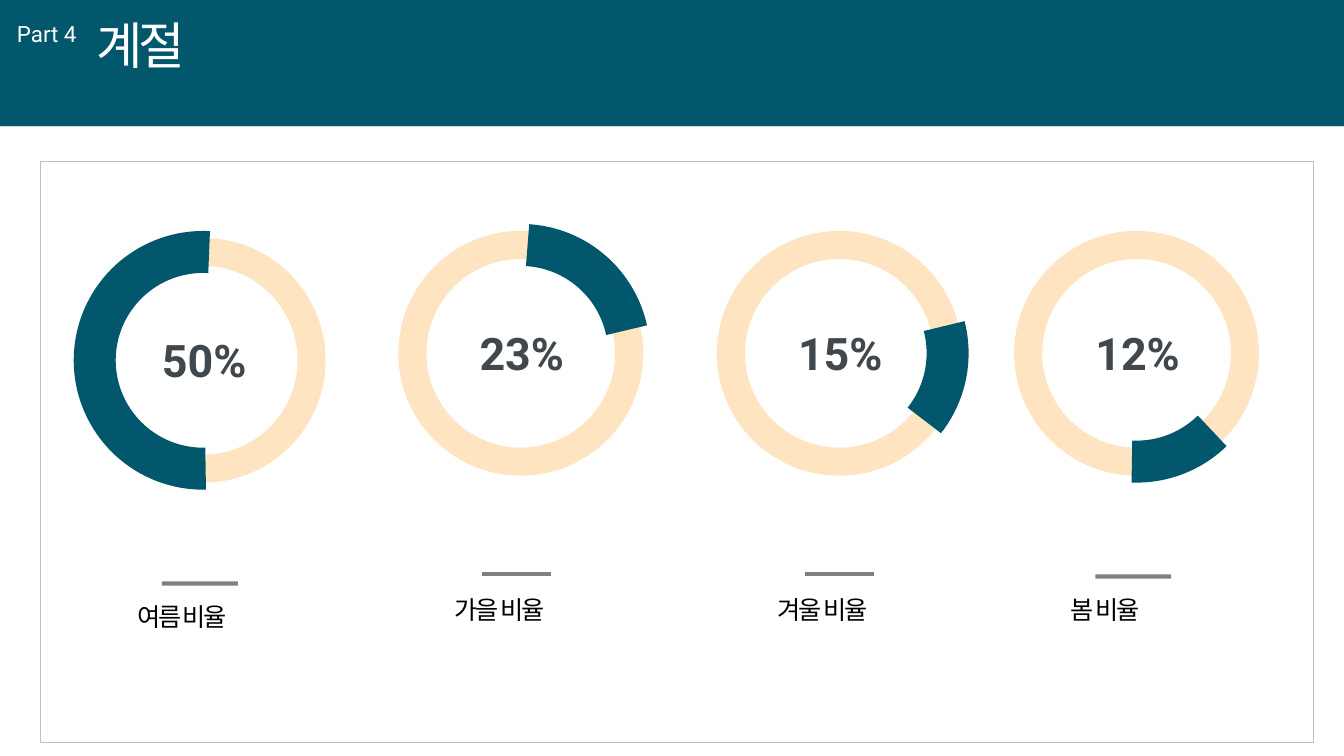
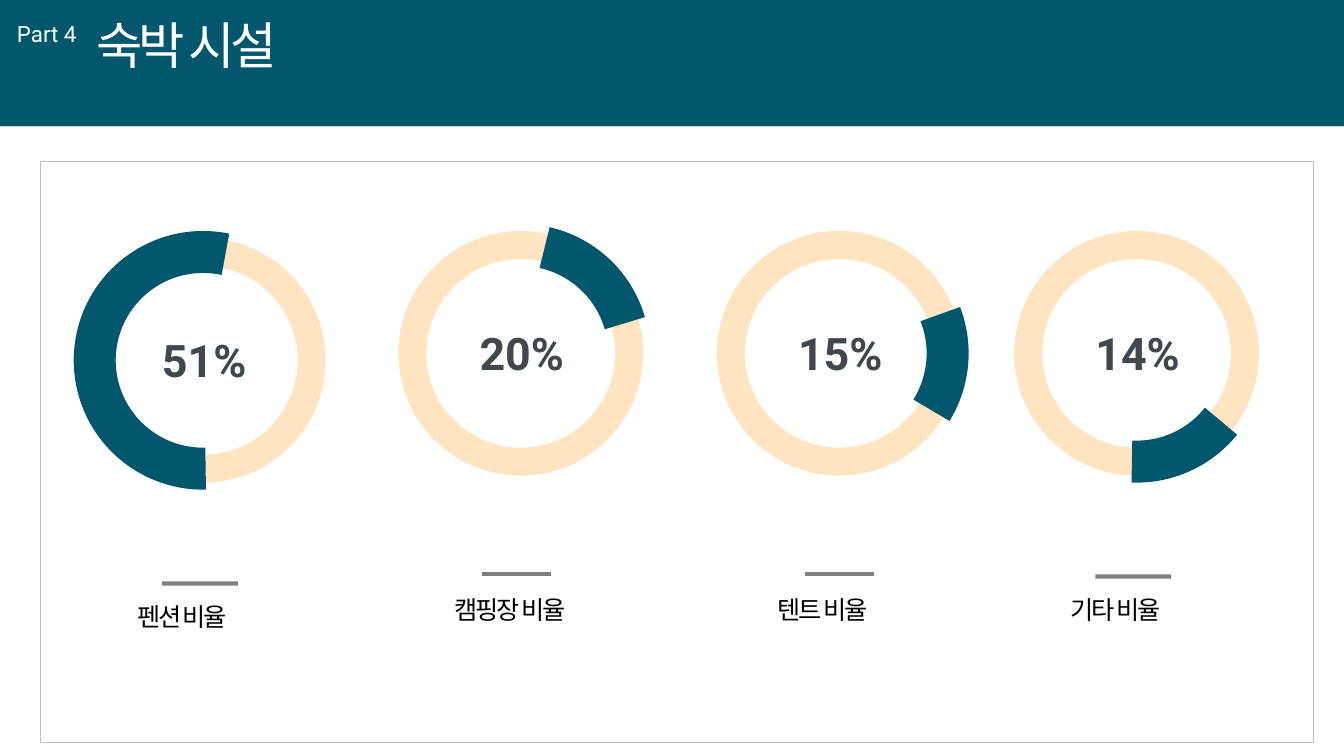
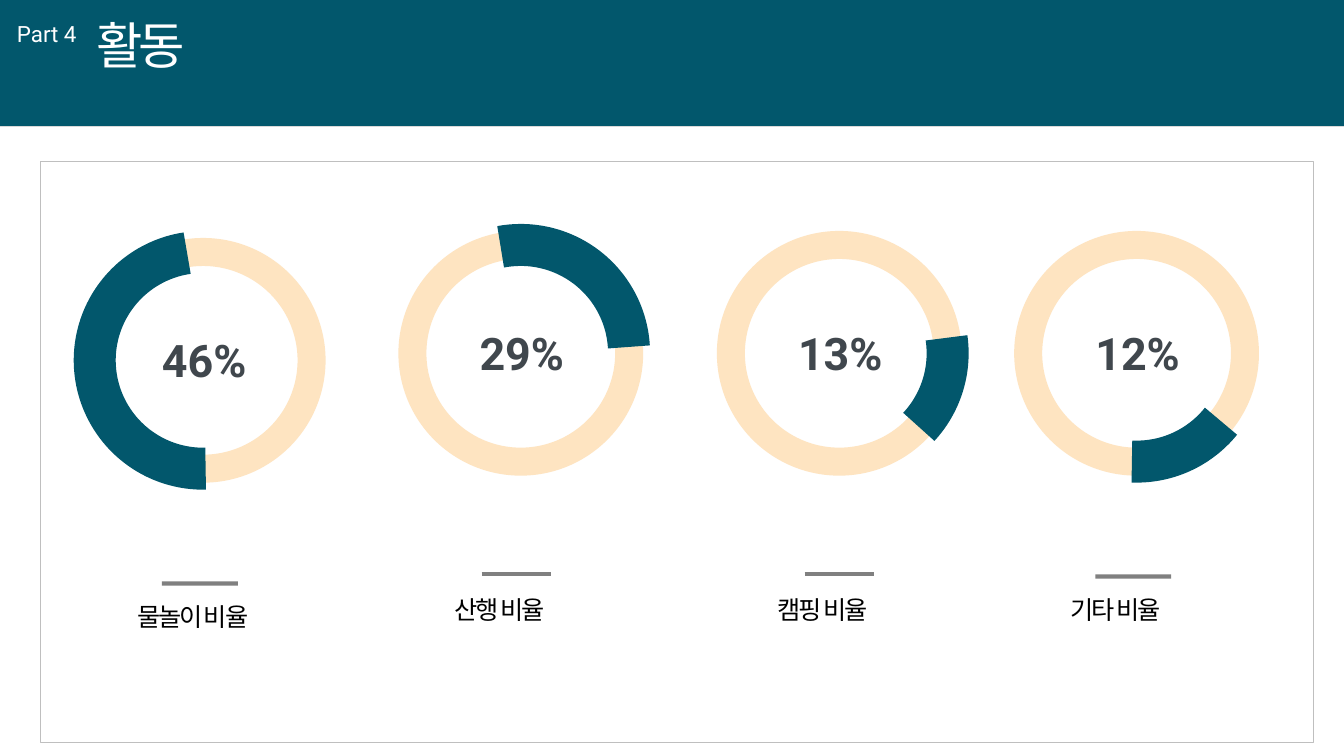
from lxml.etree import SubElement
from pptx import Presentation
from pptx.dml.color import RGBColor
from pptx.enum.shapes import MSO_CONNECTOR, MSO_SHAPE
from pptx.enum.text import MSO_AUTO_SIZE, PP_ALIGN
from pptx.oxml.ns import qn
from pptx.util import Inches, Pt

TEAL = RGBColor(0x02, 0x57, 0x6C)
PEACH = RGBColor(0xFE, 0xE4, 0xC1)
SLATE = RGBColor(0x40, 0x47, 0x4D)
GRAY = RGBColor(0x80, 0x80, 0x80)
SILVER = RGBColor(0xBF, 0xBF, 0xBF)
PALE = RGBColor(0xD9, 0xD9, 0xD9)
WHITE = RGBColor(0xFF, 0xFF, 0xFF)
BLACK = RGBColor(0, 0, 0)
HANGUL, LATIN = "Noto Sans CJK KR", "Roboto"

# The page is a grid of 100 columns by 100 rows
WIDE, HIGH = Inches(13.33), Inches(7.5)
COL, ROW = WIDE / 100, HIGH / 100
BAND = 16.67 * ROW
SIDE = 16.13 * COL  # side of a ring's box
LAP = 8  # degrees the pale arc runs under the dark one

# Ring column, ring row, label shift, bar shift (shares of SIDE), block bar
SPOTS = [
    (7.05, 33.33, 0.15, 0.31, True),
    (30.68, 32.4, 0.15, 0.32, False),
    (54.38, 32.4, 0.17, 0.34, False),
    (76.5, 32.4, 0.15, 0.31, True),
]

# Title, then share, label, start and end angle of each dark arc
PAGES = [
    ("계절", [
        ("50%", "여름 비율", 88.67, 273.17),
        ("23%", "가을 비율", 273.64, 347.69),
        ("15%", "겨울 비율", 345.48, 38.28),
        ("12%", "봄 비율", 45.73, 92.45),
    ]),
    ("숙박 시설", [
        ("51%", "펜션 비율", 88.67, 281.88),
        ("20%", "캠핑장 비율", 282.74, 343.87),
        ("15%", "텐트 비율", 338.81, 31.72),
        ("14%", "기타 비율", 38.83, 92.45),
    ]),
    ("활동", [
        ("46%", "물놀이 비율", 88.67, 261.53),
        ("29%", "산행 비율", 259.33, 356.63),
        ("13%", "캠핑 비율", 351.81, 42.76),
        ("12%", "기타 비율", 38.83, 92.45),
    ]),
]


def place(*box):
    return [round(v) for v in box]


def rect(slide, box, fill, edge=None):
    shape = slide.shapes.add_shape(MSO_SHAPE.RECTANGLE, *place(*box))
    shape.shadow.inherit = False
    shape.fill.solid()
    shape.fill.fore_color.rgb = fill
    if edge is None:
        shape.line.fill.background()
    else:
        shape.line.color.rgb = edge
        shape.line.width = Pt(1)


def rule(slide, left, top, width, color, weight):
    line = slide.shapes.add_connector(
        MSO_CONNECTOR.STRAIGHT, *place(left, top, left + width, top))
    line.line.color.rgb = color
    line.line.width = Pt(weight)
    SubElement(line._element.spPr, qn("a:effectLst"))


def arc(slide, box, start, end, color, weight, turn=0):
    shape = slide.shapes.add_shape(MSO_SHAPE.ARC, *place(*box))
    shape.shadow.inherit = False
    shape.fill.background()
    shape.line.color.rgb = color
    shape.line.width = Pt(weight)
    shape.rotation = turn
    # One unit of adjustment is 5/3 of a degree
    for i, angle in enumerate((start, end)):
        shape.adjustments[i] = (angle - turn) % 360 * 0.6


def text(slide, box, words, size, face, color, bold=False, space=0,
         align=PP_ALIGN.LEFT):
    frame = slide.shapes.add_textbox(*place(*box)).text_frame
    frame.word_wrap = False
    frame.auto_size = MSO_AUTO_SIZE.SHAPE_TO_FIT_TEXT
    para = frame.paragraphs[0]
    para.text = words
    para.alignment = align
    font = para.font
    font.size, font.name, font.bold = Pt(size), face, bold
    font.color.rgb = color
    # East Asian face and letter spacing
    props = para._p.pPr.find(qn("a:defRPr"))
    SubElement(props, qn("a:ea"), typeface=face)
    if space:
        props.set("spc", str(round(space * 100)))


def header(slide, title):
    rect(slide, (0, 0, WIDE, BAND), TEAL)
    rule(slide, 0, BAND, WIDE, PALE, 0.5)
    width = (3.18 + 2.65 * len(title)) * COL
    text(slide, (6.45 * COL, 1.2 * ROW, width, 9.47 * ROW), title,
         36, HANGUL, WHITE, space=-3)
    text(slide, (0.53 * COL, 2 * ROW, 5.93 * COL, 4.93 * ROW), "Part 4",
         16, LATIN, WHITE)


def gauge(slide, left, top, side, item, shift, inset, block):
    share, label, start, end = item
    box = (left, top, side, side)
    # Ring
    arc(slide, box, end - LAP, start + LAP, PEACH, 20, turn=90)
    arc(slide, box, start, end, TEAL, 30)
    text(slide, (left + 0.25 * side, top + 0.35 * side, 0.51 * side,
                 0.3 * side), share, 32, LATIN, SLATE, bold=True,
         align=PP_ALIGN.CENTER)
    # Bar and label
    start_x = left + inset * side
    if block:
        rect(slide, (start_x, top + 1.52 * side, 0.35 * side, 0.02 * side),
             GRAY)
    else:
        rule(slide, start_x, top + 1.52 * side, 0.32 * side, GRAY, 3)
    text(slide, (left + shift * side, top + 1.59 * side,
                 0.11 * len(label) * side, 0.19 * side),
         label, 18, HANGUL, BLACK, space=-1.5)


def page(deck, title, items):
    slide = deck.slides.add_slide(deck.slide_layouts[6])
    header(slide, title)
    rect(slide, (3 * COL, 21.33 * ROW, 94.75 * COL, 76.93 * ROW),
         WHITE, SILVER)
    for item, (col, row, shift, inset, block) in zip(items, SPOTS):
        gauge(slide, col * COL, row * ROW, SIDE, item, shift, inset, block)


def main():
    deck = Presentation()
    deck.slide_width, deck.slide_height = WIDE, HIGH
    for title, items in PAGES:
        page(deck, title, items)
    deck.save("out.pptx")


if __name__ == "__main__":
    main()
